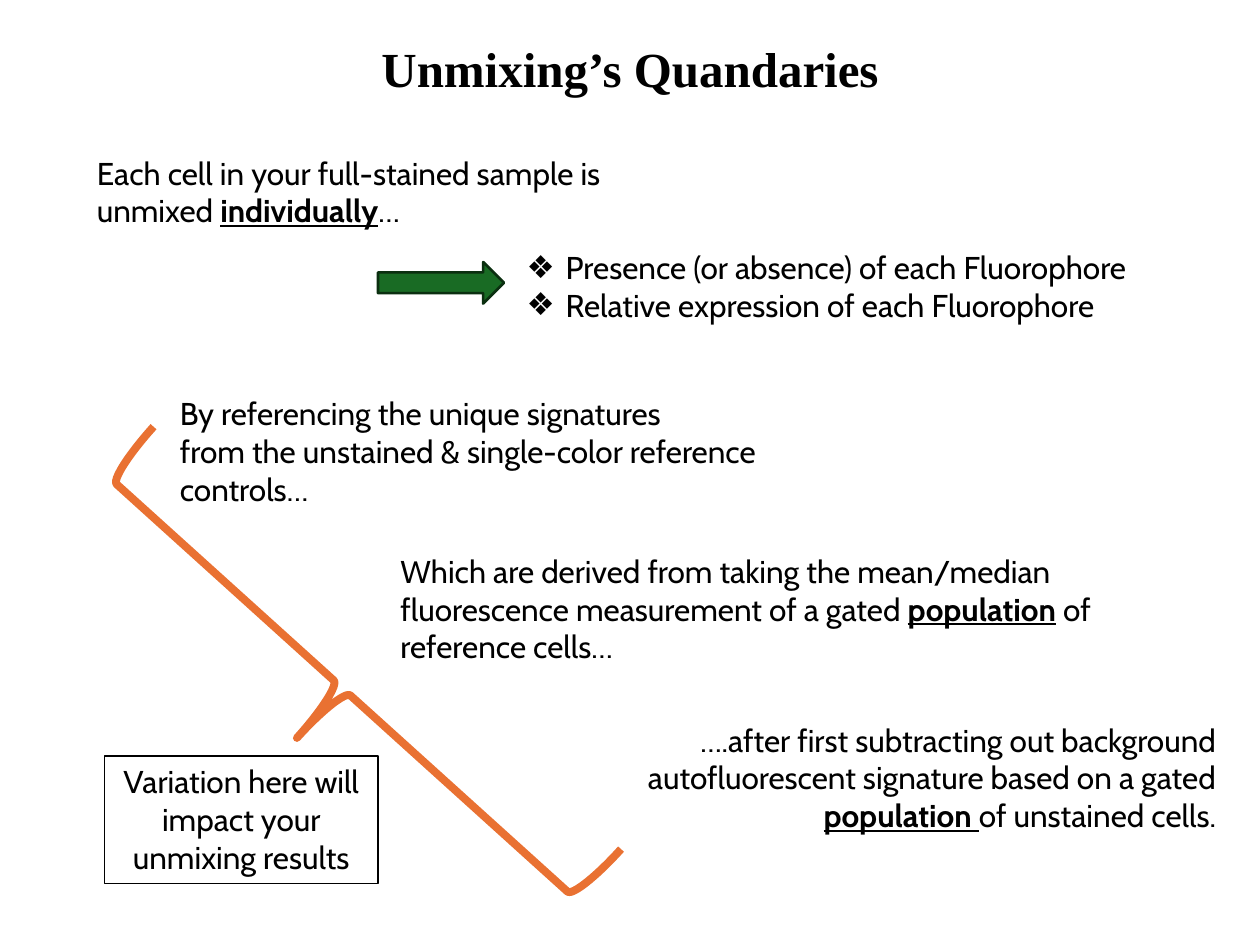
import pptx
import pptx.dml.color
import pptx.enum.shapes
import pptx.enum.text
import pptx.oxml
import pptx.oxml.ns
import pptx.util
from pptx.util import Inches

ALIGN = pptx.enum.text.PP_ALIGN
SHAPE = pptx.enum.shapes.MSO_SHAPE
BLACK, GREEN, DARK_GREEN, ORANGE = "000000", "196B24", "0B2F10", "E97132"


def color(hex_code):
    return pptx.dml.color.RGBColor.from_string(hex_code)


def place(shape, left, top, width, height):
    shape.left, shape.top = Inches(left), Inches(top)
    shape.width, shape.height = Inches(width), Inches(height)


def style_line(shape, hex_code, weight):
    shape.line.color.rgb = color(hex_code)
    shape.line.width = pptx.util.Pt(weight)


def add_bullet(paragraph, mark, indent):
    properties = paragraph._p.get_or_add_pPr()
    properties.set("marL", str(Inches(indent)))
    properties.set("indent", str(-Inches(indent)))
    properties.append(pptx.oxml.parse_xml(
        f'<a:buChar {pptx.oxml.ns.nsdecls("a")} char="{mark}"/>'))


def write(shape, lines, align=ALIGN.LEFT, font="Cabin", size=18, bold=False, bullet=None):
    """Write one paragraph per line; text between asterisks is bold and underlined."""
    frame = shape.text_frame
    frame.word_wrap = True
    frame.auto_size = pptx.enum.text.MSO_AUTO_SIZE.NONE
    for number, line in enumerate(lines):
        paragraph = frame.add_paragraph() if number else frame.paragraphs[0]
        paragraph.alignment = align
        paragraph.space_before = pptx.util.Pt(0)
        if bullet:
            add_bullet(paragraph, bullet, 0.31)
        paragraph.font.name = font
        paragraph.font.size = pptx.util.Pt(size)
        paragraph.font.bold = bold
        paragraph.font.color.rgb = color(BLACK)
        for part, words in enumerate(line.split("*")):
            run = paragraph.add_run()
            run.text = words
            if part % 2:
                run.font.bold = run.font.underline = True


def add_statement(slide, box, lines, align=ALIGN.LEFT):
    statement = slide.shapes.add_textbox(*map(Inches, box))
    write(statement, lines, align)
    return statement


def add_outline(slide, kind, box, line_color, weight, fill=None):
    shape = slide.shapes.add_shape(kind, *map(Inches, box))
    shape.shadow.inherit = False
    if fill:
        shape.fill.solid()
        shape.fill.fore_color.rgb = color(fill)
    else:
        shape.fill.background()
    style_line(shape, line_color, weight)
    return shape


def main():
    deck = pptx.Presentation()
    deck.slide_width, deck.slide_height = Inches(10), Inches(7.5)
    slide = deck.slides.add_slide(deck.slide_layouts[1])
    title, findings = slide.placeholders

    # Title
    place(title, 1, 0.25, 8, 0.57)
    write(title, ["Unmixing’s Quandaries"], ALIGN.CENTER, "Times New Roman", 28, True)

    # Unmixing and what it tells about each cell
    add_statement(slide, (0.67, 1.17, 5, 0.71),
                  ["Each cell in your full-stained sample is unmixed *individually*…"])
    add_outline(slide, SHAPE.RIGHT_ARROW, (3, 2.08, 1, 0.33), DARK_GREEN, 1.5, GREEN)
    place(findings, 4.08, 1.92, 5.25, 0.71)
    write(findings, ["Presence (or absence) of each Fluorophore",
                     "Relative expression of each Fluorophore"], bullet="❖")

    # Steps behind the reference signatures
    add_statement(slide, (1.33, 3.08, 5, 1.01),
                  ["By referencing the unique signatures",
                   "from the unstained & single-color reference controls…"])
    add_statement(slide, (3.08, 4.33, 5.83, 1.01),
                  ["Which are derived from taking the mean/median fluorescence "
                   "measurement of a gated *population* of reference cells…"])
    add_statement(slide, (3.92, 5.67, 5.83, 1.01),
                  ["….after first subtracting out background autofluorescent signature "
                   "based on a gated *population *of unstained cells."], ALIGN.RIGHT)

    # Brace over the steps, with its consequence
    brace = add_outline(slide, SHAPE.LEFT_BRACE, (2.18, 2.96, 1.07, 5), ORANGE, 4.5)
    brace.rotation = 312.1
    consequence = add_statement(slide, (0.83, 6, 2.17, 1.01),
                                ["Variation here will", "impact your unmixing results"],
                                ALIGN.CENTER)
    style_line(consequence, BLACK, 0.75)

    deck.save("out.pptx")


if __name__ == "__main__":
    main()
